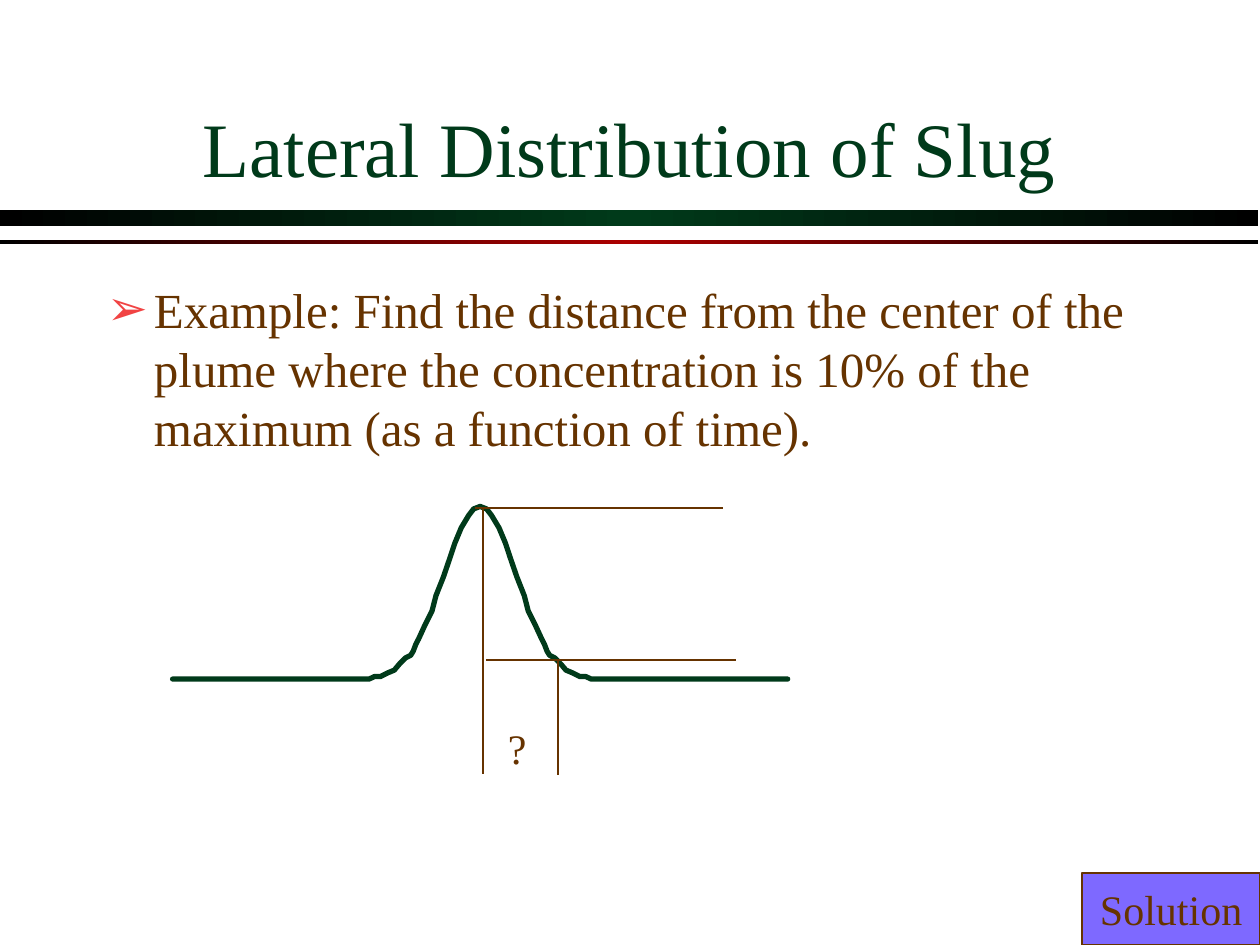
import copy

import pptx
import pptx.dml.color
import pptx.enum.shapes
import pptx.enum.text
import pptx.oxml
import pptx.oxml.ns
import pptx.util
from pptx.util import Cm, Pt

FONT = "Times New Roman"
COLORS = {
    "green": "003A1A",
    "red": "AC0000",
    "black": "000000",
    "brown": "663300",
    "bullet": "F14343",
    "violet": "7E69FF",
}
PEAK_X, PEAK_Y = 9.68, 10.21
# Distance from the plume centre and depth below the peak, in cm
HALF_CURVE = [
    (0.13, 0.05), (0.23, 0.18), (0.38, 0.43), (0.51, 0.74), (0.61, 1.04),
    (0.74, 1.42), (0.89, 1.8), (0.97, 2.11), (1.12, 2.41), (1.24, 2.67),
    (1.3, 2.79), (1.35, 2.92), (1.4, 3), (1.5, 3.05), (1.63, 3.18),
    (1.73, 3.3), (1.85, 3.35), (2.01, 3.43), (2.13, 3.43), (2.24, 3.48),
    (6.2, 3.48),
]
GUIDES = [
    (9.58, 10.24, 14.58, 10.24),
    (9.8, 13.31, 14.83, 13.31),
    (9.73, 10.24, 9.73, 15.6),
    (11.25, 13.28, 11.25, 15.62),
]


def color(name):
    return pptx.dml.color.RGBColor.from_string(COLORS[name])


def xml(tag, content="", attributes=""):
    namespace = pptx.oxml.ns.nsdecls("a")
    return pptx.oxml.parse_xml(
        f"<a:{tag} {namespace} {attributes}>{content}</a:{tag}>")


def place(shape, left, top, width, height):
    shape.left, shape.top = Cm(left), Cm(top)
    shape.width, shape.height = Cm(width), Cm(height)


def write(shape, text, size, name, anchor, alignment, wrap=True):
    """Set the text of a shape and return its only paragraph."""
    frame = shape.text_frame
    frame.text = text
    frame.word_wrap = wrap
    frame.auto_size = pptx.enum.text.MSO_AUTO_SIZE.NONE
    frame.vertical_anchor = anchor
    paragraph = frame.paragraphs[0]
    paragraph.alignment = alignment
    font = paragraph.runs[0].font
    font.name, font.size = FONT, Pt(size)
    font.color.rgb = color(name)
    return paragraph


def add_band(page, top, height, middle):
    """Add a full-width rule that fades to black at both ends."""
    band = page.shapes.add_shape(
        pptx.enum.shapes.MSO_SHAPE.RECTANGLE,
        0, Cm(top), Cm(25.37), Cm(height))
    band.shadow.inherit = False
    band.line.fill.background()
    band.fill.gradient()
    band.fill.gradient_angle = 0
    stop_list = band.fill._fill._gradFill.gsLst
    stop_list.append(copy.deepcopy(stop_list[-1]))
    names = ("black", middle, "black")
    for index, (stop, name) in enumerate(zip(band.fill.gradient_stops, names)):
        stop.color.rgb = color(name)
        stop.position = index / 2


def add_title(page, text):
    title = page.shapes.title
    place(title, 1.9, 0.84, 21.59, 3.18)
    paragraph = write(title, text, 44, "green",
                      pptx.enum.text.MSO_ANCHOR.BOTTOM,
                      pptx.enum.text.PP_ALIGN.CENTER)
    shadow = xml("effectLst",
                 '<a:outerShdw dist="38100" dir="2700000">'
                 f'<a:srgbClr val="{COLORS["black"]}"/></a:outerShdw>')
    properties = paragraph.runs[0].font._element
    properties.find(pptx.oxml.ns.qn("a:solidFill")).addnext(shadow)


def add_body(page, text):
    body = page.placeholders[1]
    place(body, 1.9, 5.51, 21.59, 4.4)
    paragraph = write(body, text, 28, "brown",
                      pptx.enum.text.MSO_ANCHOR.TOP,
                      pptx.enum.text.PP_ALIGN.LEFT)
    properties = paragraph._p.get_or_add_pPr()
    properties.set("marL", str(Cm(0.95)))
    properties.set("indent", str(-Cm(0.95)))
    properties.append(
        xml("buClr", f'<a:srgbClr val="{COLORS["bullet"]}"/>'))
    properties.append(xml("buChar", attributes='char="➢"'))


def add_curve(page):
    left = [(PEAK_X - x, PEAK_Y + y) for x, y in reversed(HALF_CURVE)]
    right = [(PEAK_X + x, PEAK_Y + y) for x, y in HALF_CURVE]
    points = [(Cm(x), Cm(y)) for x, y in left + [(PEAK_X, PEAK_Y)] + right]
    builder = page.shapes.build_freeform(*points[0])
    builder.add_line_segments(points[1:], close=False)
    curve = builder.convert_to_shape()
    curve.shadow.inherit = False
    curve.fill.background()
    curve.line.color.rgb = color("green")
    curve.line.width = Pt(3)
    outline = curve.line._get_or_add_ln()
    outline.set("cap", "rnd")
    outline.append(xml("round"))


def add_guide(page, *ends):
    guide = page.shapes.add_connector(
        pptx.enum.shapes.MSO_CONNECTOR.STRAIGHT, *map(Cm, ends))
    guide.line.color.rgb = color("brown")
    guide.line.width = Pt(1)
    guide._element.spPr.append(xml("effectLst"))


def add_button(page, text):
    button = page.shapes.add_shape(
        pptx.enum.shapes.MSO_SHAPE.ACTION_BUTTON_CUSTOM,
        Cm(21.82), Cm(17.6), Cm(3.58), Cm(1.45))
    button.shadow.inherit = False
    button.fill.solid()
    button.fill.fore_color.rgb = color("violet")
    button.line.color.rgb = color("brown")
    button.line.width = Pt(1)
    write(button, text, 24, "brown", pptx.enum.text.MSO_ANCHOR.MIDDLE,
          pptx.enum.text.PP_ALIGN.CENTER, wrap=False)


def add_label(page, text):
    label = page.shapes.add_textbox(Cm(9.98), Cm(14.43), Cm(0.89), Cm(1.27))
    write(label, text, 24, "brown", pptx.enum.text.MSO_ANCHOR.MIDDLE,
          pptx.enum.text.PP_ALIGN.CENTER, wrap=False)


def main():
    deck = pptx.Presentation()
    deck.slide_width, deck.slide_height = Cm(25.4), Cm(19.05)
    page = deck.slides.add_slide(deck.slide_layouts[1])
    add_band(page, 4.24, 0.32, "green")
    add_band(page, 4.83, 0.1, "red")
    add_title(page, "Lateral Distribution of Slug")
    add_body(page, "Example: Find the distance from the center of the plume "
                   "where the concentration is 10% of the maximum "
                   "(as a function of time).")
    add_button(page, "Solution")
    add_curve(page)
    for ends in GUIDES:
        add_guide(page, *ends)
    add_label(page, "?")
    deck.save("out.pptx")


if __name__ == "__main__":
    main()
